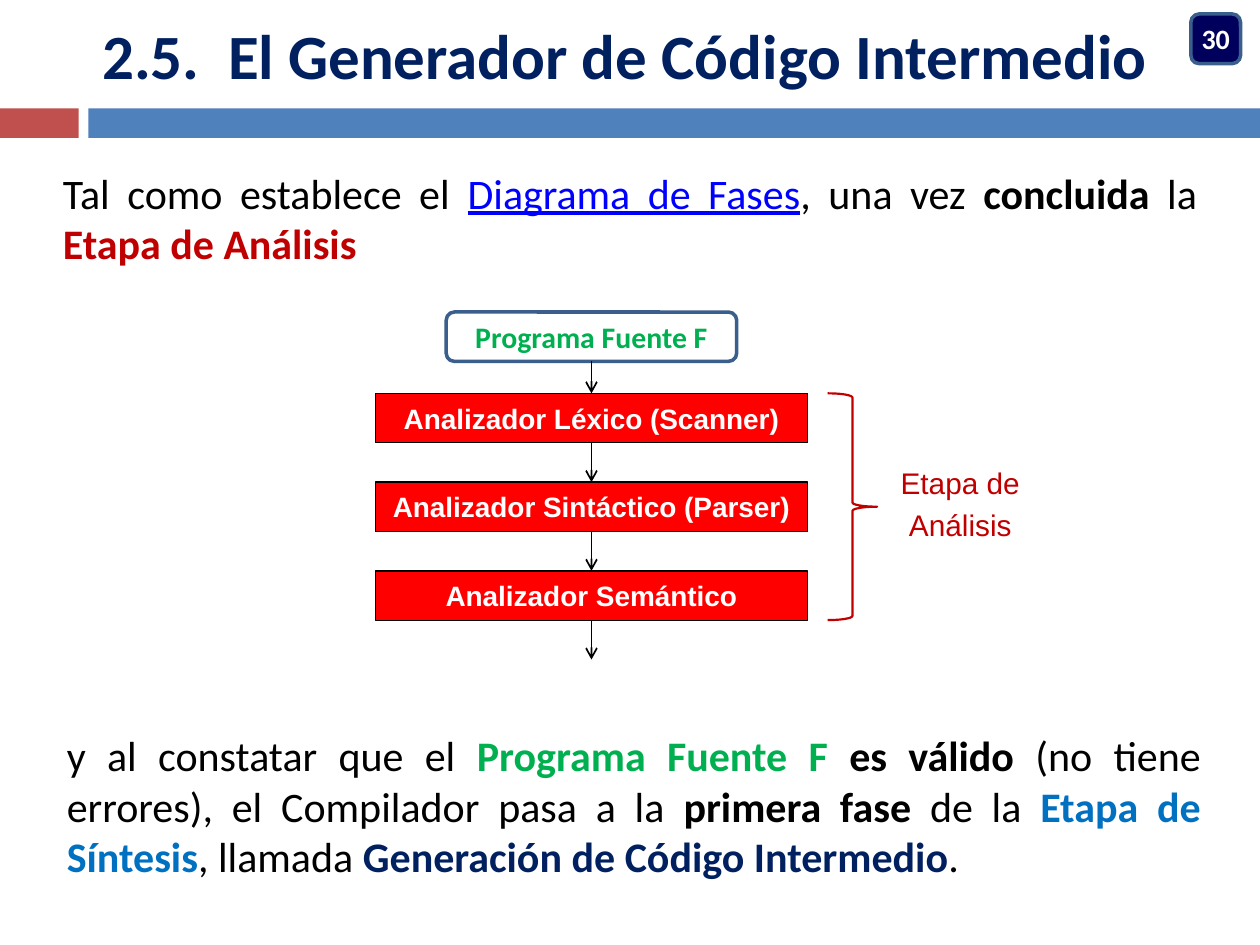
import pptx
import pptx.util
import pptx.dml.color
import pptx.enum.shapes
import pptx.enum.text
import pptx.oxml.ns
from lxml import etree

Pt = pptx.util.Pt
RGBColor = pptx.dml.color.RGBColor
Shape = pptx.enum.shapes.MSO_SHAPE
Align = pptx.enum.text.PP_ALIGN
Anchor = pptx.enum.text.MSO_ANCHOR
qn = pptx.oxml.ns.qn

BLACK = RGBColor(0x00, 0x00, 0x00)
WHITE = RGBColor(0xFF, 0xFF, 0xFF)
NAVY = RGBColor(0x00, 0x20, 0x60)
BADGE_NAVY = RGBColor(0x00, 0x00, 0x5C)
OUTLINE_BLUE = RGBColor(0x3A, 0x5F, 0x8C)
BAR_BLUE = RGBColor(0x4F, 0x81, 0xBD)
BAR_RED = RGBColor(0xC0, 0x50, 0x4D)
PHASE_RED = RGBColor(0xFF, 0x00, 0x00)
DARK_RED = RGBColor(0xC0, 0x00, 0x00)
GREEN = RGBColor(0x00, 0xB0, 0x50)
SYNTHESIS_BLUE = RGBColor(0x00, 0x70, 0xC0)
LINK_BLUE = RGBColor(0x00, 0x00, 0xFF)


def add_shape(kind, left, top, width, height, fill=None, line=None, line_width=1):
    shape = slide.shapes.add_shape(kind, Pt(left), Pt(top), Pt(width), Pt(height))
    shape.shadow.inherit = False
    if fill is None:
        shape.fill.background()
    else:
        shape.fill.solid()
        shape.fill.fore_color.rgb = fill
    if line is None:
        shape.line.fill.background()
    else:
        shape.line.color.rgb = line
        shape.line.width = Pt(line_width)
    return shape


def write(paragraph, runs, size, font_name, alignment=Align.CENTER):
    """Add (text, colour, bold) runs to the paragraph."""
    paragraph.alignment = alignment
    for text, color, bold in runs:
        run = paragraph.add_run()
        run.text = text
        run.font.size = Pt(size)
        run.font.name = font_name
        run.font.bold = bold
        run.font.color.rgb = color
        run.font.underline = color == LINK_BLUE


presentation = pptx.Presentation()
presentation.slide_width = Pt(720)
presentation.slide_height = Pt(540)
slide = presentation.slides.add_slide(presentation.slide_layouts[5])

# Heading: title, two-colour bar and page badge
title = slide.shapes.title
title.left, title.top, title.width, title.height = Pt(0), Pt(0), Pt(714), Pt(62)
frame = title.text_frame
frame.margin_left = frame.margin_top = frame.margin_right = frame.margin_bottom = 0
frame.auto_size = pptx.enum.text.MSO_AUTO_SIZE.NONE
frame.vertical_anchor = Anchor.MIDDLE
write(frame.paragraphs[0], [("2.5.  El Generador de Código Intermedio", NAVY, True)], 36, "Calibri")

add_shape(Shape.RECTANGLE, 0, 62, 45, 16.8, BAR_RED)
add_shape(Shape.RECTANGLE, 50.5, 62, 669.5, 16.8, BAR_BLUE)

badge = add_shape(Shape.ROUNDED_RECTANGLE, 680.5, 8, 28.4, 28.4, BADGE_NAVY, OUTLINE_BLUE, 2)
badge.text_frame.margin_left = badge.text_frame.margin_right = 0
badge.text_frame.vertical_anchor = Anchor.MIDDLE
write(badge.text_frame.paragraphs[0], [("30", WHITE, True)], 16, "Calibri")

# Running text above and below the diagram
texts = [
    (36, 95.5, 57, [
        ("Tal como establece el ", BLACK, False),
        ("Diagrama de Fases", LINK_BLUE, False),
        (", una vez ", BLACK, False),
        ("concluida", BLACK, True),
        (" la ", BLACK, False),
        ("Etapa de Análisis", DARK_RED, True),
    ]),
    (38.2, 417, 90, [
        ("y al constatar que el ", BLACK, False),
        ("Programa Fuente F ", GREEN, True),
        ("es válido ", BLACK, True),
        ("(no tiene errores), el Compilador pasa a la ", BLACK, False),
        ("primera fase", BLACK, True),
        (" de la ", BLACK, False),
        ("Etapa de Síntesis", SYNTHESIS_BLUE, True),
        (", llamada ", BLACK, False),
        ("Generación de Código Intermedio", NAVY, True),
        (".", BLACK, False),
    ]),
]
for left, top, height, runs in texts:
    box = slide.shapes.add_textbox(Pt(left), Pt(top), Pt(648), Pt(height))
    frame = box.text_frame
    frame.word_wrap = True
    frame.margin_left = frame.margin_top = frame.margin_right = frame.margin_bottom = 0
    write(frame.paragraphs[0], runs, 24, "Calibri", Align.JUSTIFY)

# Flow of analysis phases, centred on one axis
CENTER = 338
BOX_HEIGHT = 28.2
PHASE_WIDTH = 247
PHASE_TOP = 224.8
PHASE_PITCH = 50.7

source = add_shape(Shape.ROUNDED_RECTANGLE, CENTER - 83, 178.3, 166, BOX_HEIGHT,
                   WHITE, OUTLINE_BLUE, 2)
source.text_frame.vertical_anchor = Anchor.MIDDLE
write(source.text_frame.paragraphs[0], [("Programa Fuente F", GREEN, True)], 17, "Calibri")

steps = [source]
phases = ["Analizador Léxico (Scanner)", "Analizador Sintáctico (Parser)", "Analizador Semántico"]
for index, name in enumerate(phases):
    phase = add_shape(Shape.RECTANGLE, CENTER - PHASE_WIDTH / 2, PHASE_TOP + index * PHASE_PITCH,
                      PHASE_WIDTH, BOX_HEIGHT, PHASE_RED, BLACK, 0.75)
    phase.text_frame.word_wrap = False
    phase.text_frame.vertical_anchor = Anchor.MIDDLE
    write(phase.text_frame.paragraphs[0], [(name, WHITE, True)], 16, "Arial")
    steps.append(phase)

flow_end = Pt(PHASE_TOP + len(phases) * PHASE_PITCH)
for step, following in zip(steps, steps[1:] + [None]):
    end = following.top if following else flow_end
    arrow = slide.shapes.add_connector(pptx.enum.shapes.MSO_CONNECTOR.STRAIGHT,
                                       Pt(CENTER), step.top + step.height, Pt(CENTER), end)
    arrow.begin_connect(step, 2)
    if following:
        arrow.end_connect(following, 0)
    arrow.line.color.rgb = BLACK
    arrow.line.width = Pt(1)
    etree.SubElement(arrow.line._get_or_add_ln(), qn("a:tailEnd"), type="arrow")
    etree.SubElement(arrow._element.spPr, qn("a:effectLst"))

# Brace naming the stage
add_shape(Shape.RIGHT_BRACE, 473, PHASE_TOP, 28.3, 2 * PHASE_PITCH + BOX_HEIGHT,
          None, DARK_RED, 1.25)
label = slide.shapes.add_textbox(Pt(507), Pt(262), Pt(83.5), Pt(52.6))
label.text_frame.word_wrap = False
write(label.text_frame.paragraphs[0], [("Etapa de", DARK_RED, False)], 17, "Arial")
second_line = label.text_frame.add_paragraph()
second_line.space_before = Pt(3.4)
write(second_line, [("Análisis", DARK_RED, False)], 17, "Arial")

presentation.save("out.pptx")
